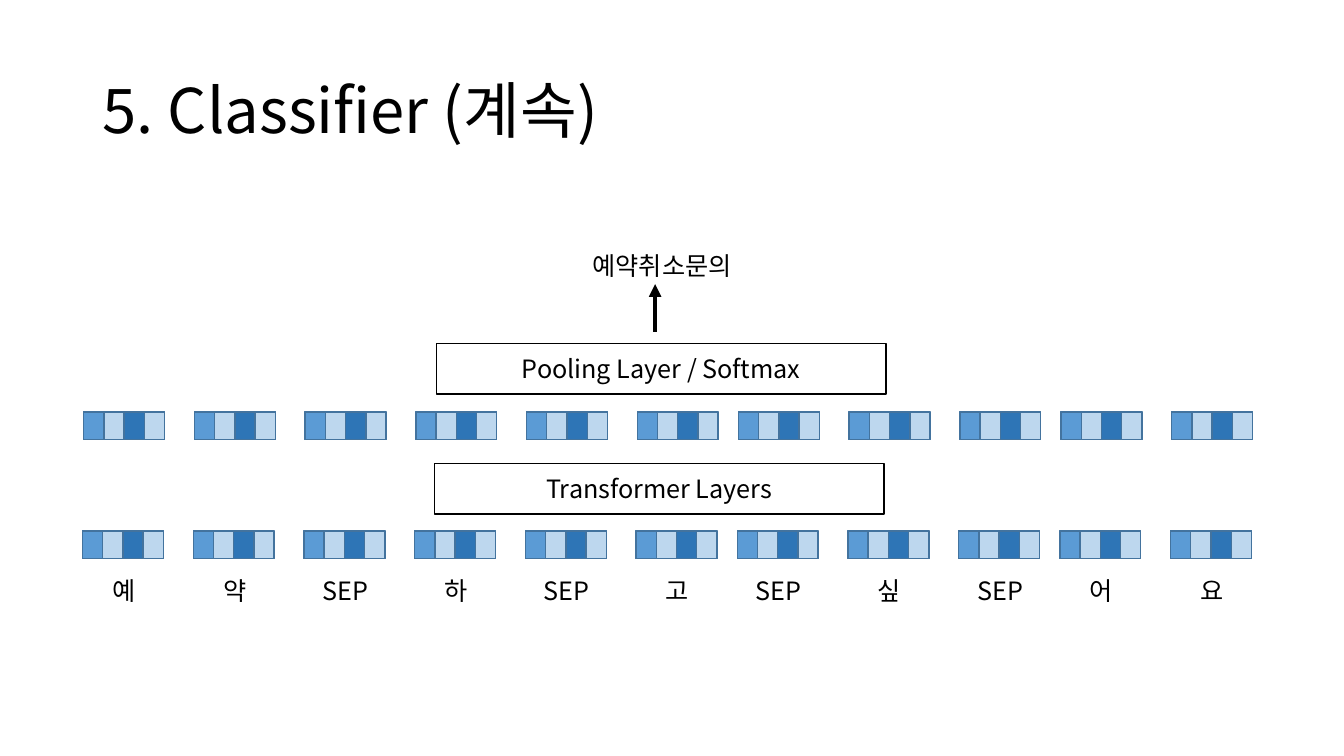
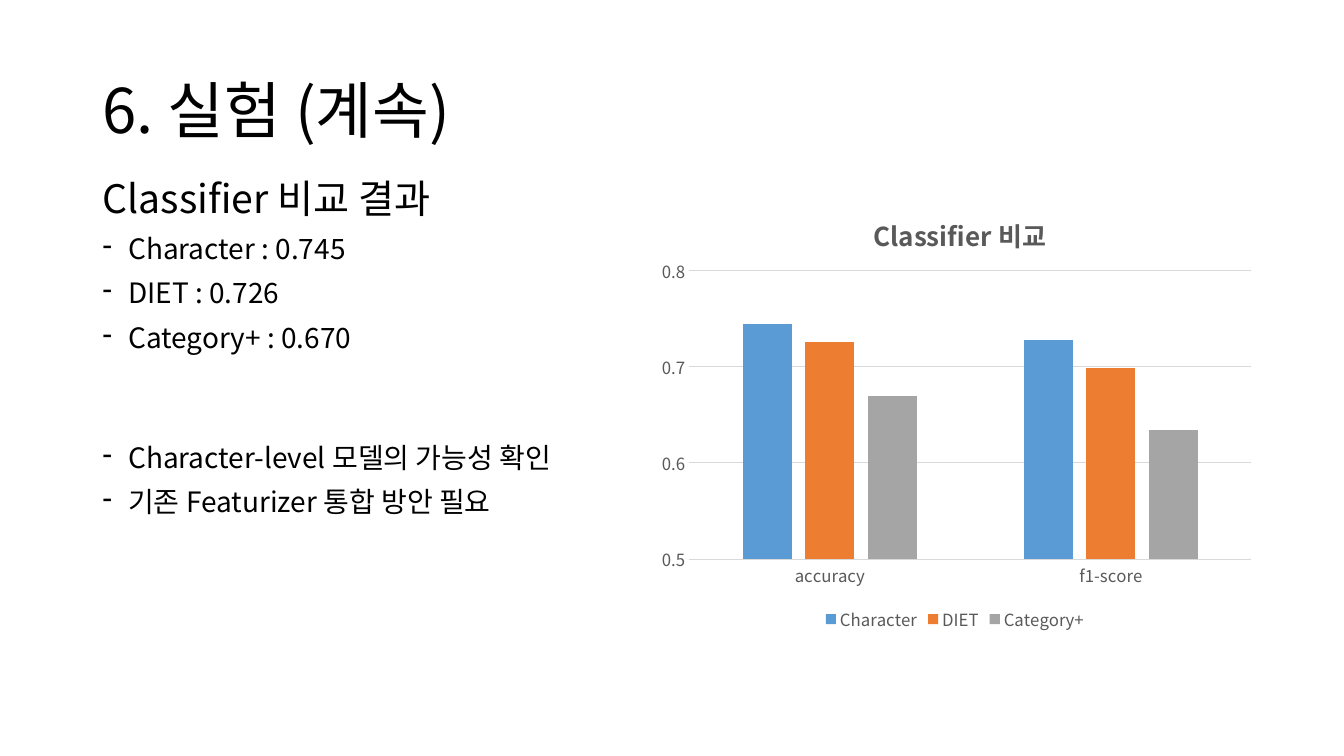
from dataclasses import dataclass

from pptx import Presentation
from pptx.chart.data import CategoryChartData
from pptx.dml.color import RGBColor
from pptx.enum.chart import XL_CHART_TYPE, XL_LEGEND_POSITION, XL_TICK_MARK
from pptx.enum.shapes import MSO_CONNECTOR, MSO_SHAPE
from pptx.enum.text import MSO_ANCHOR, PP_ALIGN
from pptx.oxml.ns import qn
from pptx.oxml.xmlchemy import OxmlElement
from pptx.util import Cm, Pt

LEFT, CENTER = PP_ALIGN.LEFT, PP_ALIGN.CENTER
TOP, MIDDLE = MSO_ANCHOR.TOP, MSO_ANCHOR.MIDDLE
RECTANGLE = MSO_SHAPE.RECTANGLE
STRAIGHT = MSO_CONNECTOR.STRAIGHT
COLUMNS = XL_CHART_TYPE.COLUMN_CLUSTERED
LEGEND_BOTTOM = XL_LEGEND_POSITION.BOTTOM
NO_TICK = XL_TICK_MARK.NONE


@dataclass(frozen=True)
class Theme:
    font: str = "Noto Sans CJK KR"
    black: RGBColor = RGBColor(0x00, 0x00, 0x00)
    white: RGBColor = RGBColor(0xFF, 0xFF, 0xFF)
    blue: RGBColor = RGBColor(0x5B, 0x9B, 0xD5)
    pale_blue: RGBColor = RGBColor(0xBD, 0xD7, 0xEE)
    deep_blue: RGBColor = RGBColor(0x2E, 0x75, 0xB6)
    edge_blue: RGBColor = RGBColor(0x43, 0x73, 0x9E)
    orange: RGBColor = RGBColor(0xED, 0x7D, 0x31)
    gray: RGBColor = RGBColor(0xA5, 0xA5, 0xA5)
    chart_text: RGBColor = RGBColor(0x59, 0x59, 0x59)
    chart_line: RGBColor = RGBColor(0xD9, 0xD9, 0xD9)
    title: float = 44
    heading: float = 28
    bullet: float = 20
    label: float = 18
    chart_title: float = 18.6
    axis: float = 12


THEME = Theme()


def write(frame, text, size=THEME.label, color=THEME.black, align=LEFT,
          anchor=TOP, spacing=1.0, before=0, bullet=None):
    """Add one paragraph to a text frame, filling its empty first one."""
    frame.word_wrap = True
    frame.vertical_anchor = anchor
    paragraph = frame.add_paragraph() if frame.text else frame.paragraphs[0]
    paragraph.alignment = align
    paragraph.line_spacing = spacing
    paragraph.space_before = Pt(before)
    if bullet:
        properties = paragraph._p.get_or_add_pPr()
        properties.set("marL", str(Cm(0.64)))
        properties.set("indent", str(-Cm(0.64)))
        mark = OxmlElement("a:buChar")
        mark.set("char", bullet)
        properties.append(mark)
    run = paragraph.add_run()
    run.text = text
    run.font.name = THEME.font
    run.font.size = Pt(size)
    run.font.color.rgb = color
    east_asian = OxmlElement("a:ea")
    east_asian.set("typeface", THEME.font)
    run.font._element.find(qn("a:latin")).addnext(east_asian)


def add_box(slide, left, top, width, height, line, fill=None):
    box = slide.shapes.add_shape(RECTANGLE, Cm(left), Cm(top), Cm(width), Cm(height))
    box.shadow.inherit = False
    if fill is None:
        box.fill.background()
    else:
        box.fill.solid()
        box.fill.fore_color.rgb = fill
    box.line.color.rgb = line
    box.line.width = Pt(1)
    return box


deck = Presentation()
deck.slide_width, deck.slide_height = Cm(33.87), Cm(19.05)

slides = []
for heading in ("5. Classifier (계속)", "6. 실험 (계속)"):
    slide = deck.slides.add_slide(deck.slide_layouts[6])
    title = slide.shapes.add_textbox(Cm(2.34), Cm(1.02), Cm(29.21), Cm(3.68))
    write(title.text_frame, heading, size=THEME.title, anchor=MIDDLE, spacing=0.9)
    slides.append(slide)
classifier, experiment = slides

# Classifier: characters, embeddings, layers and predicted intent
CHARACTERS = ["예", "약", "SEP", "하", "SEP", "고", "SEP", "싶", "SEP", "어", "요"]
STEP, SHORT_STEP = 2.79, 2.55
SHORT_BEFORE = (6, 9)
CELL_WIDTH, CELL_HEIGHT = 0.51, 0.69
CELL_FILLS = [THEME.blue, THEME.pale_blue, THEME.deep_blue, THEME.pale_blue]
INPUT_TOP, OUTPUT_TOP = 13.38, 10.38

left = 2.08
for index, character in enumerate(CHARACTERS):
    if index:
        left += SHORT_STEP if index in SHORT_BEFORE else STEP
    label = classifier.shapes.add_textbox(Cm(left + 0.03), Cm(14.27), Cm(2.03), Cm(1.22))
    write(label.text_frame, character, align=CENTER, anchor=MIDDLE)
    for vector_left, vector_top in ((left, INPUT_TOP), (left + 0.03, OUTPUT_TOP)):
        add_box(classifier, vector_left, vector_top, CELL_WIDTH * len(CELL_FILLS),
                CELL_HEIGHT, THEME.edge_blue)
        for cell, fill in enumerate(CELL_FILLS):
            add_box(classifier, vector_left + cell * CELL_WIDTH, vector_top,
                    CELL_WIDTH, CELL_HEIGHT, THEME.edge_blue, fill)

for layer_name, layer_left, layer_top in (("Transformer Layers", 10.95, 11.68),
                                          ("Pooling Layer / Softmax", 11, 8.66)):
    layer = add_box(classifier, layer_left, layer_top, 11.33, 1.27, THEME.black, THEME.white)
    write(layer.text_frame, layer_name, align=CENTER, anchor=MIDDLE)

arrow = classifier.shapes.add_connector(STRAIGHT, Cm(16.51), Cm(8.36), Cm(16.51), Cm(7.16))
arrow.line.color.rgb = THEME.black
arrow.line.width = Pt(3)
arrow_head = OxmlElement("a:tailEnd")
arrow_head.set("type", "triangle")
arrow.line._get_or_add_ln().append(arrow_head)
arrow._element.spPr.append(OxmlElement("a:effectLst"))

intent = classifier.shapes.add_textbox(Cm(11.02), Cm(6.07), Cm(11.33), Cm(1.22))
write(intent.text_frame, "예약취소문의", align=CENTER, anchor=MIDDLE)

# Experiment: scores, conclusions and comparison chart
results = experiment.shapes.add_textbox(Cm(2.34), Cm(4.39), Cm(11.38), Cm(4.7)).text_frame
conclusions = experiment.shapes.add_textbox(Cm(2.34), Cm(11.07), Cm(12.67), Cm(3.02)).text_frame
write(results, "Classifier 비교 결과", size=THEME.heading, spacing=0.9, before=10)
for frame, points in (
    (results, ["Character : 0.745", "DIET : 0.726", "Category+ : 0.670"]),
    (conclusions, ["Character-level 모델의 가능성 확인", "기존 Featurizer 통합 방안 필요"]),
):
    for point in points:
        write(frame, point, size=THEME.bullet, spacing=0.9, before=10, bullet="-")

SCORES = [
    ("Character", (0.745, 0.728), THEME.blue),
    ("DIET", (0.726, 0.699), THEME.orange),
    ("Category+", (0.670, 0.634), THEME.gray),
]
scores = CategoryChartData()
scores.categories = ["accuracy", "f1-score"]
for model, values, _ in SCORES:
    scores.add_series(model, values)
chart = experiment.shapes.add_chart(
    COLUMNS, Cm(16.28), Cm(4.67), Cm(15.57), Cm(11.35), scores).chart
chart.font.name = THEME.font
chart.font.size = Pt(THEME.axis)
chart.font.color.rgb = THEME.chart_text

chart.has_title = True
write(chart.chart_title.text_frame, "Classifier 비교",
      size=THEME.chart_title, color=THEME.chart_text, align=CENTER)
chart.has_legend = True
chart.legend.position = LEGEND_BOTTOM
chart.legend.include_in_layout = False

bars = chart.plots[0]
bars.gap_width, bars.overlap = 219, -27
bars.vary_by_categories = False
for series, (_, _, color) in zip(bars.series, SCORES):
    series.format.fill.solid()
    series.format.fill.fore_color.rgb = color

score_axis, metric_axis = chart.value_axis, chart.category_axis
score_axis.minimum_scale, score_axis.maximum_scale = 0.5, 0.8
score_axis.major_unit = 0.1
score_axis.tick_labels.number_format = "0.0"
score_axis.tick_labels.number_format_is_linked = False
score_axis.format.line.fill.background()
for line in (score_axis.major_gridlines.format.line, metric_axis.format.line):
    line.color.rgb = THEME.chart_line
    line.width = Pt(0.75)
for axis in (score_axis, metric_axis):
    axis.major_tick_mark = axis.minor_tick_mark = NO_TICK

# Fixed places for the chart title and the plot, as fractions of the chart
plot_area = chart._chartSpace.find(".//" + qn("c:plotArea"))
for part, position, settings in (
    (chart.chart_title._element, 1,
     {"xMode": "edge", "yMode": "edge", "x": 0.36, "y": 0.05}),
    (plot_area, 0,
     {"layoutTarget": "inner", "xMode": "edge", "yMode": "edge",
      "x": 0.07, "y": 0.19, "w": 0.91, "h": 0.64}),
):
    for automatic in part.findall(qn("c:layout")):
        part.remove(automatic)
    layout, manual = OxmlElement("c:layout"), OxmlElement("c:manualLayout")
    for key, value in settings.items():
        setting = OxmlElement("c:" + key)
        setting.set("val", str(value))
        manual.append(setting)
    layout.append(manual)
    part.insert(position, layout)

deck.save("out.pptx")
